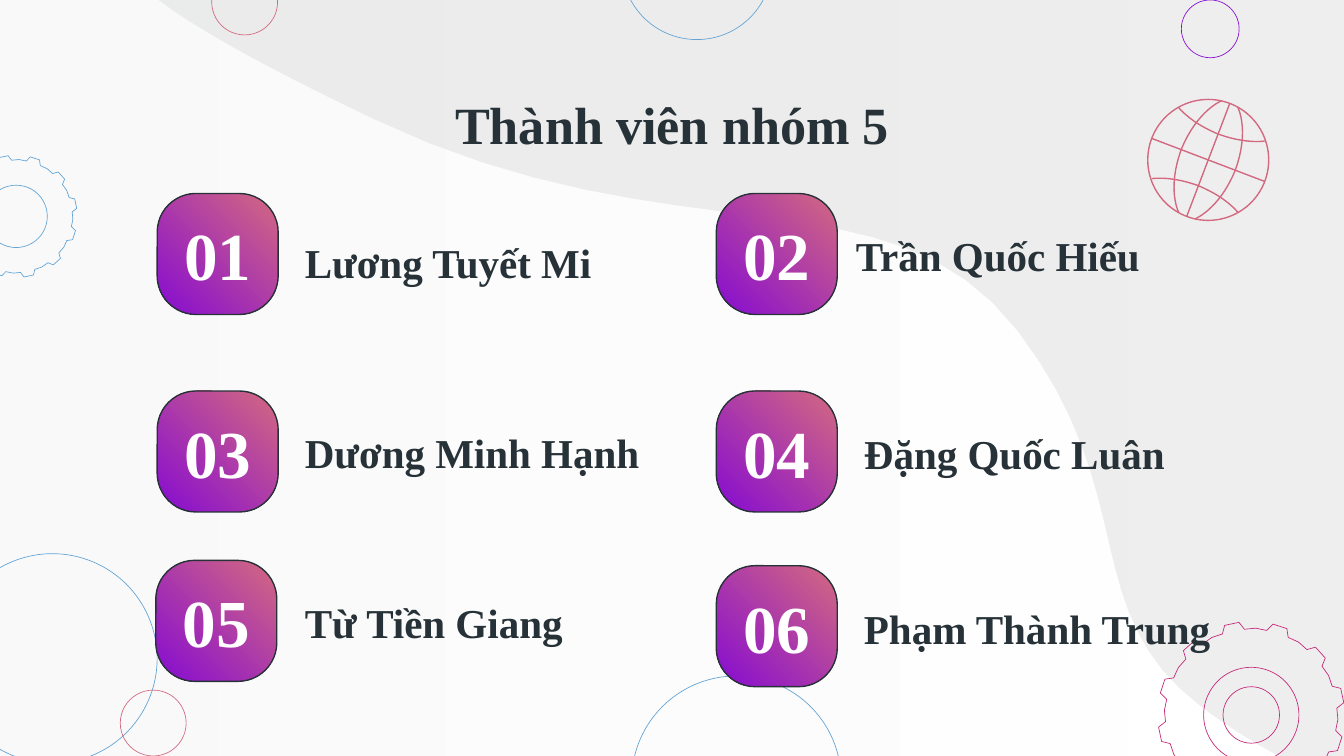
import math

from pptx import Presentation, util as u
from pptx.dml.color import RGBColor
from pptx.enum import shapes, text
from pptx.oxml.ns import qn
from lxml import etree

# Grid: one cell is a tenth of an inch
COLS, ROWS = 100, 56.25
HUES = {
    "ink": "263238", "white": "FFFFFF", "mist": "F3F3F3", "grey": "D6D7D7",
    "rose": "D36980", "violet": "860CD1", "blue": "63A4D5", "pink": "C52878",
}
FONT = "Times New Roman"


def cell(n):
    return u.Emu(round(n * 91440))


def hue(name):
    return RGBColor.from_string(HUES[name])


def trace(start, *parts, steps=16):
    """Points along a run of lines (2 numbers) and cubic curves (6 numbers)."""
    pts = [start]
    for part in parts:
        if len(part) == 2:
            pts.append(part)
            continue
        ends = [pts[-1], part[:2], part[2:4], part[4:]]
        for i in range(1, steps + 1):
            t = i / steps
            w = [(1 - t) ** 3, 3 * t * (1 - t) ** 2, 3 * t * t * (1 - t), t ** 3]
            pts.append(tuple(sum(k * p[a] for k, p in zip(w, ends)) for a in (0, 1)))
    return pts


class Deck:
    def __init__(self):
        self.prs = Presentation()
        self.prs.slide_width, self.prs.slide_height = cell(COLS), cell(ROWS)
        self.slide = self.prs.slides.add_slide(self.prs.slide_layouts[6])
        self.shapes = self.slide.shapes

    def fade(self, shape, names, angle):
        shape.fill.gradient()
        shape.fill.gradient_angle = angle
        for stop, name in zip(shape.fill.gradient_stops, names):
            stop.color.rgb = hue(name)

    def thin(self, shape, alpha):
        for node in shape._element.spPr.iter(qn("a:srgbClr")):
            etree.SubElement(node, qn("a:alpha"), val=str(alpha * 1000))

    def edge(self, shape, name=None, width=0.36):
        if name:
            shape.line.color.rgb = hue(name)
            shape.line.width = u.Pt(width)
        else:
            shape.line.fill.background()

    def box(self, kind, x, y, w, h):
        shape = self.shapes.add_shape(kind, cell(x), cell(y), cell(w), cell(h))
        shape.shadow.inherit = False
        return shape

    def ring(self, x, y, r, name, width=0.36):
        shape = self.box(shapes.MSO_SHAPE.OVAL, x - r, y - r, 2 * r, 2 * r)
        shape.fill.background()
        self.edge(shape, name, width)

    def trail(self, pts, close=False):
        pts = [(cell(x), cell(y)) for x, y in pts]
        pen = self.shapes.build_freeform(*pts[0])
        pen.add_line_segments(pts[1:], close=close)
        shape = pen.convert_to_shape()
        shape.shadow.inherit = False
        shape.fill.background()
        return shape

    def line(self, x1, y1, x2, y2, name, width):
        wire = self.shapes.add_connector(
            shapes.MSO_CONNECTOR.STRAIGHT, cell(x1), cell(y1), cell(x2), cell(y2))
        self.edge(wire, name, width)
        etree.SubElement(wire._element.spPr, qn("a:effectLst"))

    def gear(self, x, y, r, name, teeth=12):
        pts = []
        for i in range(teeth):
            mid = 360 / teeth * i - 12
            for turn, far in ((-7.5, 0.92), (-4.5, 1), (4.5, 1), (7.5, 0.92), (15, 0.93)):
                a = math.radians(mid + turn)
                pts.append((x + far * r * math.cos(a), y + far * r * math.sin(a)))
        self.edge(self.trail(pts, close=True), name)
        self.ring(x, y, 0.51 * r, name)

    def globe(self, x, y, r, name, width=0.75):
        self.ring(x, y, r, name, width)
        dx, dy = 1.6, 4.2
        self.line(x + dx, y - dy, x - dx, y + dy, name, width)
        self.line(x - dy, y - dx, x + dy, y + dx, name, width)
        bows = (
            trace((-2.2, 3.9), (-2.2, 3.9, -3.1, 2.2, -2, -0.8),
                  (-0.8, -3.7, 1, -4.4, 1, -4.4)),
            trace((2.2, 3.9), (1.7, 3.3, 0.7, 2.5, -0.8, 1.9),
                  (-2.2, 1.4, -3.4, 1.3, -4.2, 1.4)),
        )
        for bow in bows:
            for side in (1, -1):
                pts = [(x + side * px, y + side * py) for px, py in bow]
                self.edge(self.trail(pts), name, width)

    def words(self, frame, line, size, name, align, inset):
        frame.text = line
        frame.vertical_anchor = text.MSO_ANCHOR.MIDDLE
        frame.margin_left = frame.margin_right = cell(inset)
        frame.margin_top = frame.margin_bottom = cell(inset)
        para = frame.paragraphs[0]
        para.alignment = align
        font = para.runs[0].font
        font.name, font.size, font.bold = FONT, u.Pt(size), True
        font.color.rgb = hue(name)

    def label(self, line, x, mid, w, h, size, align=text.PP_ALIGN.LEFT):
        item = self.shapes.add_textbox(cell(x), cell(mid - h / 2), cell(w), cell(h))
        item.text_frame.word_wrap = True
        self.words(item.text_frame, line, size, "ink", align, 1)

    def badge(self, line, x, y, side=9):
        shape = self.box(shapes.MSO_SHAPE.ROUNDED_RECTANGLE, x, y, side, side)
        shape.adjustments[0] = 0.32
        self.fade(shape, ("rose", "violet"), 225)
        self.edge(shape, "ink", 0.75)
        self.words(shape.text_frame, line, 36, "white", text.PP_ALIGN.CENTER, 0)


def main():
    deck = Deck()

    # Pale backdrop and grey wave
    back = deck.box(shapes.MSO_SHAPE.RECTANGLE, -0.7, -0.7, COLS + 1.4, ROWS + 1.4)
    deck.fade(back, ("white", "mist"), 180)
    deck.thin(back, 41)
    deck.edge(back)
    wave = deck.trail(trace(
        (102.8, -2.5), (102.8, 58.8), (101.3, 58.8),
        (98.1, 57.8, 93.9, 56, 89.4, 52.6), (80, 45.5, 85.1, 36.9, 75.7, 24.6),
        (66.2, 12.3, 50.2, 19.5, 27.9, 8.9), (17.6, 4, 12.8, 1, 10.7, -0.9),
        (10.7, -2.5)), close=True)
    wave.fill.solid()
    wave.fill.fore_color.rgb = hue("grey")
    deck.thin(wave, 41)
    deck.edge(wave)

    # Loose rings: centre, radius, colour
    for ring in (
        (3.9, 49, 7.8, "blue"), (90.05, 2.15, 2.15, "violet"),
        (18.2, 0.15, 2.45, "rose"), (51.85, -2.65, 5.6, "blue"),
        (54.8, 58.1, 7.8, "blue"), (11.4, 53.8, 2.45, "rose"),
    ):
        deck.ring(*ring)

    # Gears and globe
    deck.gear(1.2, 16.1, 4.55, "blue")
    deck.gear(93.1, 53.2, 6.95, "pink")
    deck.ring(93.1, 53.2, 2.1, "pink")
    deck.globe(89.9, 11.9, 4.5, "rose")

    # Title
    deck.label("Thành viên nhóm 5", 7.8, 9.2, 84.4, 4, 28, text.PP_ALIGN.CENTER)

    # Members: name, badge left and top, name left and middle
    team = (
        ("Lương Tuyết Mi", 11.7, 14.4, 21.7, 19.5),
        ("Trần Quốc Hiếu", 53.3, 14.4, 62.7, 19),
        ("Dương Minh Hạnh", 11.7, 29.1, 21.7, 33.6),
        ("Đặng Quốc Luân", 53.3, 29.1, 63.3, 33.7),
        ("Từ Tiền Giang", 11.6, 41.7, 21.7, 46.3),
        ("Phạm Thành Trung", 53.3, 42.1, 63.3, 46.7),
    )
    for rank, (name, x, y, left, mid) in enumerate(team, 1):
        deck.badge(f"{rank:02}", x, y)
        deck.label(name, left, mid, 28.2, 4.8, 22)

    deck.prs.save("out.pptx")


if __name__ == "__main__":
    main()
